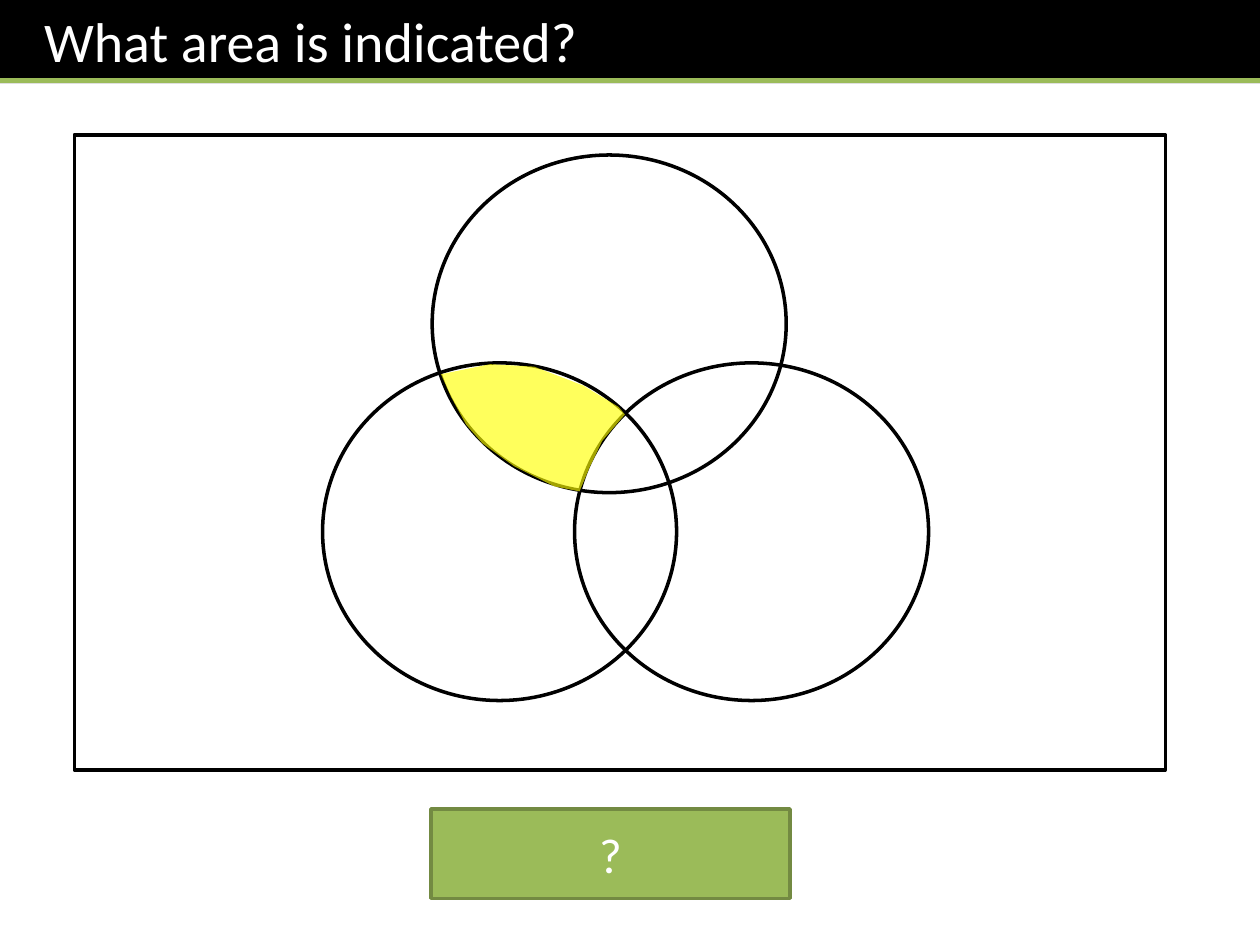
from typing import NamedTuple

from lxml.etree import SubElement
from pptx import Presentation
from pptx.dml.color import RGBColor
from pptx.enum.shapes import MSO_CONNECTOR, MSO_SHAPE
from pptx.enum.text import MSO_ANCHOR, PP_ALIGN
from pptx.oxml.ns import qn
from pptx.util import Inches, Pt

BLACK, WHITE, GREEN, DARK_GREEN, YELLOW = "000000", "FFFFFF", "9BBB59", "738A42", "FFFF00"


class Box(NamedTuple):
    left: float
    top: float
    width: float
    height: float


CIRCLE_WIDTH, CIRCLE_HEIGHT = 2.81, 2.68
CIRCLE_CORNERS = [(3.43, 1.23), (2.56, 2.88), (4.56, 2.88)]
OVERLAP = [
    (3.5, 2.97), (3.89, 2.89), (4.24, 2.91), (4.63, 3.06), (4.91, 3.23),
    (4.96, 3.29), (4.78, 3.5), (4.68, 3.71), (4.6, 3.9), (4.4, 3.86),
    (4.08, 3.7), (3.83, 3.52), (3.7, 3.37), (3.58, 3.15),
]


def color(value: str) -> RGBColor:
    return RGBColor.from_string(value)


def style(shape, fill: str | None = None, line: str | None = None) -> None:
    shape.shadow.inherit = False
    if fill:
        shape.fill.solid()
        shape.fill.fore_color.rgb = color(fill)
    else:
        shape.fill.background()
    if line:
        shape.line.color.rgb = color(line)
        shape.line.width = Pt(2)
    else:
        shape.line.fill.background()


def add_box(page, kind, box: Box, fill: str | None = None, line: str | None = None):
    shape = page.shapes.add_shape(kind, *(Inches(length) for length in box))
    style(shape, fill, line)
    return shape


def write(shape, text: str, *, size: int, align, anchor, left_inset: float = 0.1) -> None:
    frame = shape.text_frame
    frame.word_wrap = True
    frame.vertical_anchor = anchor
    frame.margin_left = Inches(left_inset)
    para = frame.paragraphs[0]
    para.alignment = align
    span = para.add_run()
    span.text = text
    span.font.name = "Calibri"
    span.font.size = Pt(size)
    span.font.color.rgb = color(WHITE)


def add_overlap(page, points: list[tuple[float, float]], opacity: int) -> None:
    corners = [(Inches(x), Inches(y)) for x, y in points]
    builder = page.shapes.build_freeform(*corners[0])
    builder.add_line_segments(corners[1:], close=True)
    shape = builder.convert_to_shape()
    style(shape, YELLOW)
    tint = shape._element.spPr.find(qn("a:solidFill"))[0]
    SubElement(tint, qn("a:alpha")).set("val", str(opacity * 1000))


def add_rule(page, top: float, width: float) -> None:
    rule = page.shapes.add_connector(
        MSO_CONNECTOR.STRAIGHT, Inches(0), Inches(top), Inches(width), Inches(top))
    rule.line.color.rgb = color(GREEN)
    rule.line.width = Pt(3)
    SubElement(rule._element.spPr, qn("a:effectLst"))


def main() -> None:
    deck = Presentation()
    deck.slide_width, deck.slide_height = Inches(10), Inches(7.5)
    page = deck.slides.add_slide(deck.slide_layouts[6])

    # Venn diagram: three circles, the marked overlap and the frame
    for left, top in CIRCLE_CORNERS:
        add_box(page, MSO_SHAPE.OVAL, Box(left, top, CIRCLE_WIDTH, CIRCLE_HEIGHT), line=BLACK)
    add_overlap(page, OVERLAP, opacity=64)
    add_box(page, MSO_SHAPE.RECTANGLE, Box(0.59, 1.07, 8.66, 5.04), line=BLACK)

    # Answer button
    answer = add_box(page, MSO_SHAPE.RECTANGLE, Box(3.42, 6.42, 2.85, 0.71), GREEN, DARK_GREEN)
    write(answer, "?", size=28, align=PP_ALIGN.CENTER, anchor=MSO_ANCHOR.MIDDLE)

    # Title bar
    title = add_box(page, MSO_SHAPE.RECTANGLE, Box(0, 0, 10, 0.66), BLACK)
    write(title, "What area is indicated?", size=32, align=PP_ALIGN.LEFT,
          anchor=MSO_ANCHOR.TOP, left_inset=0.35)
    add_rule(page, top=0.64, width=10)

    deck.save("out.pptx")


if __name__ == "__main__":
    main()
